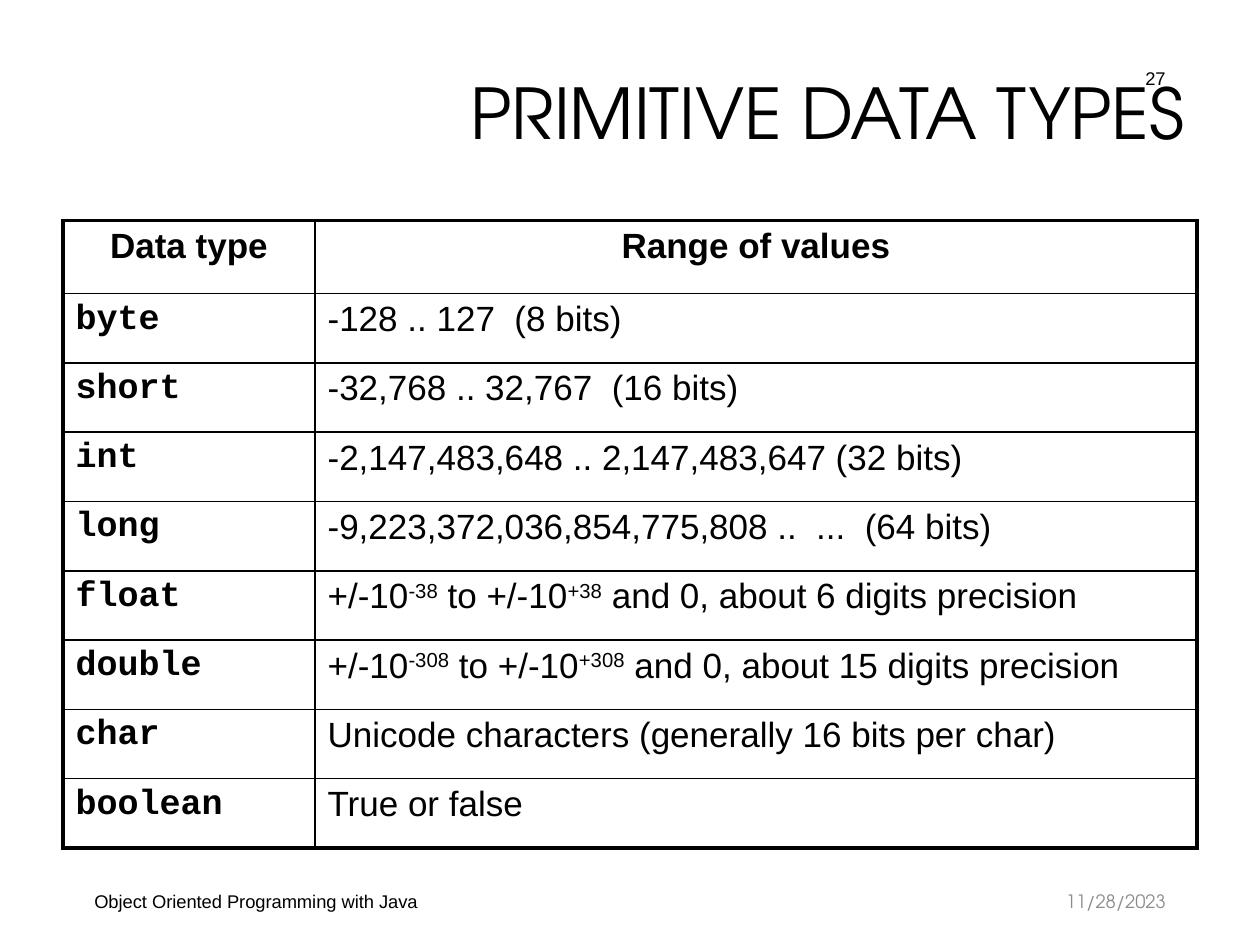
from lxml import etree
from pptx import Presentation
from pptx.dml.color import RGBColor
from pptx.enum.text import MSO_ANCHOR, MSO_AUTO_SIZE, PP_ALIGN
from pptx.oxml.ns import qn
from pptx.util import Inches, Pt

LEFT, RIGHT = PP_ALIGN.LEFT, PP_ALIGN.RIGHT
CENTER, JUSTIFY = PP_ALIGN.CENTER, PP_ALIGN.JUSTIFY
MIDDLE = MSO_ANCHOR.MIDDLE
NO_AUTOFIT = MSO_AUTO_SIZE.NONE

BLACK, GRAY = "000000", "8C8C8C"
BODY_FONT, CODE_FONT, DISPLAY_FONT = "Arial", "Courier New", "TeX Gyre Adventor"
OUTER_LINE, INNER_LINE = Pt(2.25), Pt(1)

# In a range given as a list, every second piece is superscript.
ROWS = [
    ("Data type", ["Range of values"]),
    ("byte", ["-128 .. 127  (8 bits)"]),
    ("short", ["-32,768 .. 32,767  (16 bits)"]),
    ("int", ["-2,147,483,648 .. 2,147,483,647 (32 bits)"]),
    ("long", ["-9,223,372,036,854,775,808 ..  ...  (64 bits)"]),
    ("float", ["+/-10", "-38", " to +/-10", "+38", " and 0, about 6 digits precision"]),
    ("double", ["+/-10", "-308", " to +/-10", "+308", " and 0, about 15 digits precision"]),
    ("char", ["Unicode characters (generally 16 bits per char)"]),
    ("boolean", ["True or false"]),
]


def style_paragraph(paragraph, size, font_name, color=BLACK, alignment=LEFT, bold=False):
    paragraph.alignment = alignment
    font = paragraph.font
    font.size, font.name, font.bold = Pt(size), font_name, bold
    font.color.rgb = RGBColor.from_string(color)


def add_border(cell, side, width):
    properties = cell._tc.get_or_add_tcPr()
    line = etree.SubElement(properties, qn(f"a:ln{side}"), w=str(width))
    fill = etree.SubElement(line, qn("a:solidFill"))
    etree.SubElement(fill, qn("a:srgbClr"), val=BLACK)


presentation = Presentation()
presentation.slide_width, presentation.slide_height = Inches(10), Inches(7.5)
slide = presentation.slides.add_slide(presentation.slide_layouts[5])

# Title
title = slide.shapes.title
title.left, title.top = Inches(0.5), Inches(0.3)
title.width, title.height = Inches(9), Inches(1.25)
title.text_frame.auto_size = NO_AUTOFIT
title.text_frame.vertical_anchor = MIDDLE
title.text_frame.text = "PRIMITIVE DATA TYPES"
paragraph = title.text_frame.paragraphs[0]
paragraph.line_spacing = 0.9
style_paragraph(paragraph, 40, DISPLAY_FONT, alignment=RIGHT)

# Table of data types
table = slide.shapes.add_table(
    len(ROWS), 2, Inches(0.5), Inches(1.75), Inches(9), Inches(4.98)
).table
table.first_row = table.horz_banding = False
table.columns[0].width, table.columns[1].width = Inches(2), Inches(7)

last_row = len(ROWS) - 1
for row_index, (data_type, value_range) in enumerate(ROWS):
    is_header = row_index == 0
    table.rows[row_index].height = Inches(0.58 if is_header else 0.55)
    for column_index, pieces in enumerate(([data_type], value_range)):
        cell = table.cell(row_index, column_index)
        is_code = column_index == 0 and not is_header
        paragraph = cell.text_frame.paragraphs[0]
        style_paragraph(
            paragraph, 20, CODE_FONT if is_code else BODY_FONT,
            alignment=CENTER if is_header else JUSTIFY, bold=is_header or is_code,
        )
        spacing = etree.Element(qn("a:spcBef"))
        etree.SubElement(spacing, qn("a:spcPct"), val="20000")
        paragraph._p.get_or_add_pPr().insert(0, spacing)
        for piece_index, piece in enumerate(pieces):
            run = paragraph.add_run()
            run.text = piece
            if piece_index % 2:
                run.font._element.set("baseline", "30000")

        outer_sides = {
            "L": column_index == 0,
            "R": column_index == 1,
            "T": is_header,
            "B": row_index == last_row,
        }
        for side, is_outer in outer_sides.items():
            add_border(cell, side, OUTER_LINE if is_outer else INNER_LINE)
        cell.fill.background()

# Footer, slide number and date
for text, left, top, width, font_name, color, alignment in [
    ("Object Oriented Programming with Java", 0.65, 6.95, 6.21, BODY_FONT, BLACK, LEFT),
    ("27", 7.19, 0.42, 2.16, BODY_FONT, BLACK, RIGHT),
    ("11/28/2023", 7.01, 6.95, 2.34, DISPLAY_FONT, GRAY, RIGHT),
]:
    text_box = slide.shapes.add_textbox(Inches(left), Inches(top), Inches(width), Inches(0.4))
    text_frame = text_box.text_frame
    text_frame.word_wrap = True
    text_frame.vertical_anchor = MIDDLE
    text_frame.text = text
    style_paragraph(text_frame.paragraphs[0], 10.5, font_name, color, alignment)

presentation.save("out.pptx")
